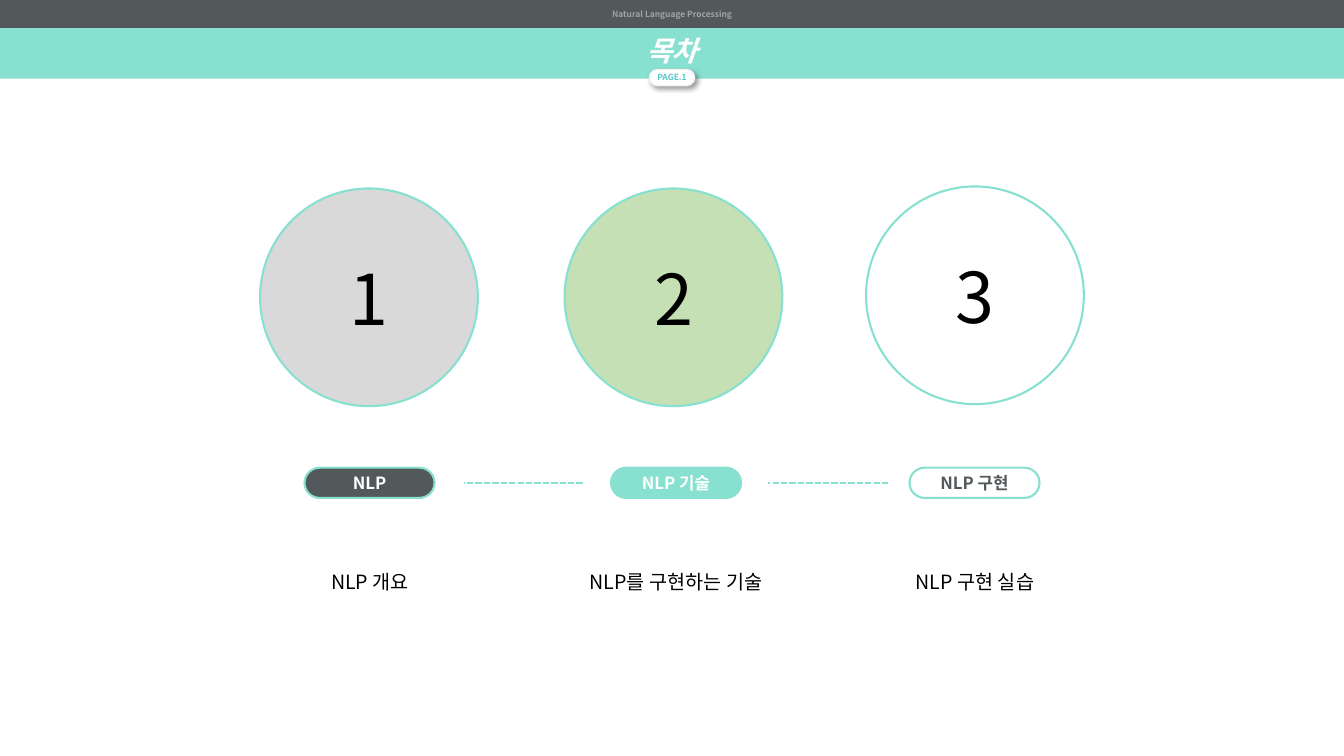
"""Build the contents slide of a Natural Language Processing talk."""
from lxml import etree
from pptx import Presentation
from pptx.dml.color import RGBColor
from pptx.enum.dml import MSO_LINE
from pptx.enum.shapes import MSO_CONNECTOR, MSO_SHAPE
from pptx.enum.text import MSO_ANCHOR, PP_ALIGN
from pptx.oxml import parse_xml
from pptx.oxml.ns import qn
from pptx.util import Inches, Pt

FONT = "Noto Sans CJK KR"
COLORS = {
    "slate": "53585B", "mint": "88E0D0", "teal": "57C4C7", "white": "FFFFFF",
    "black": "000000", "silver": "9FA4A7", "pale": "F2F2F2", "gray": "D9D9D9",
    "green": "C5E0B4",
}
SHADOW = (
    '<a:effectLst xmlns:a="http://schemas.openxmlformats.org/drawingml/2006/main">'
    '<a:outerShdw blurRad="50800" dist="38100" dir="2700000" algn="tl" rotWithShape="0">'
    '<a:srgbClr val="000000"><a:alpha val="40000"/></a:srgbClr>'
    "</a:outerShdw></a:effectLst>"
)


def write(shape, text, size, color, bold=False, anchor=MSO_ANCHOR.MIDDLE):
    frame = shape.text_frame
    frame.word_wrap = True
    frame.vertical_anchor = anchor
    frame.text = text
    paragraph = frame.paragraphs[0]
    paragraph.alignment = PP_ALIGN.CENTER
    font = paragraph.font
    font.name, font.size, font.bold = FONT, Pt(size), bold
    font.color.rgb = RGBColor.from_string(COLORS[color])
    east_asian = etree.SubElement(font._element, qn("a:ea"))
    east_asian.set("typeface", FONT)
    return paragraph


def add_box(kind, left, top, width, height, fill, line=None, weight=1.5):
    shape = slide.shapes.add_shape(
        kind, Inches(left), Inches(top), Inches(width), Inches(height))
    shape.shadow.inherit = False
    shape.fill.solid()
    shape.fill.fore_color.rgb = RGBColor.from_string(COLORS[fill])
    if line:
        shape.line.color.rgb = RGBColor.from_string(COLORS[line])
        shape.line.width = Pt(weight)
    else:
        shape.line.fill.background()
    if kind == MSO_SHAPE.ROUNDED_RECTANGLE:
        shape.adjustments[0] = 0.5
    return shape


presentation = Presentation()
presentation.slide_width = Inches(13.33)
presentation.slide_height = Inches(7.5)
slide = presentation.slides.add_slide(presentation.slide_layouts[6])

top_bar = add_box(MSO_SHAPE.RECTANGLE, 0, 0, 13.33, 0.28, "slate")
write(top_bar, "Natural Language Processing", 6, "silver", bold=True)

title_bar = add_box(MSO_SHAPE.RECTANGLE, 0, 0.28, 13.33, 0.5, "mint")
title = write(title_bar, "목차", 20, "white", bold=True, anchor=MSO_ANCHOR.TOP)
title.font.italic = True

page_badge = add_box(
    MSO_SHAPE.ROUNDED_RECTANGLE, 6.44, 0.69, 0.45, 0.16, "white", "pale", 1)
write(page_badge, "PAGE.1", 6, "teal", bold=True)
page_badge.text_frame.word_wrap = False
properties = page_badge._element.spPr
properties.replace(properties.find(qn("a:effectLst")), parse_xml(SHADOW))

chapters = [
    ("1", 2.58, 1.87, "gray", "NLP", 3.02, "slate", "white", "NLP 개요", 2.29, 2.76),
    ("2", 5.6, 1.87, "green", "NLP 기술", 6.06, "mint", "white",
     "NLP를 구현하는 기술", 5.41, 2.59),
    ("3", 8.59, 1.85, "white", "NLP 구현", 9.02, "white", "slate",
     "NLP 구현 실습", 8.2, 2.94),
]
for (number, circle_left, circle_top, circle_fill, label, pill_left, pill_fill,
     label_color, caption, caption_left, caption_width) in chapters:
    caption_box = slide.shapes.add_textbox(
        Inches(caption_left), Inches(5.11), Inches(caption_width), Inches(1.2))
    write(caption_box, caption, 14, "black").line_spacing = 1.5

    pill = add_box(
        MSO_SHAPE.ROUNDED_RECTANGLE, pill_left, 4.64, 1.29, 0.3, pill_fill, "mint")
    write(pill, label, 12, label_color, bold=True)
    pill.text_frame.margin_top = pill.text_frame.margin_bottom = 0

    circle = add_box(
        MSO_SHAPE.OVAL, circle_left, circle_top, 2.16, 2.16, circle_fill, "mint")
    write(circle, number, 50, "black")

for start, end in [(5.78, 4.6), (8.81, 7.62)]:
    connector = slide.shapes.add_connector(
        MSO_CONNECTOR.STRAIGHT, Inches(start), Inches(4.79), Inches(end), Inches(4.79))
    connector.line.color.rgb = RGBColor.from_string(COLORS["mint"])
    connector.line.width = Pt(1.5)
    connector.line.dash_style = MSO_LINE.SQUARE_DOT
    etree.SubElement(connector._element.spPr, qn("a:effectLst"))

presentation.save("out.pptx")
